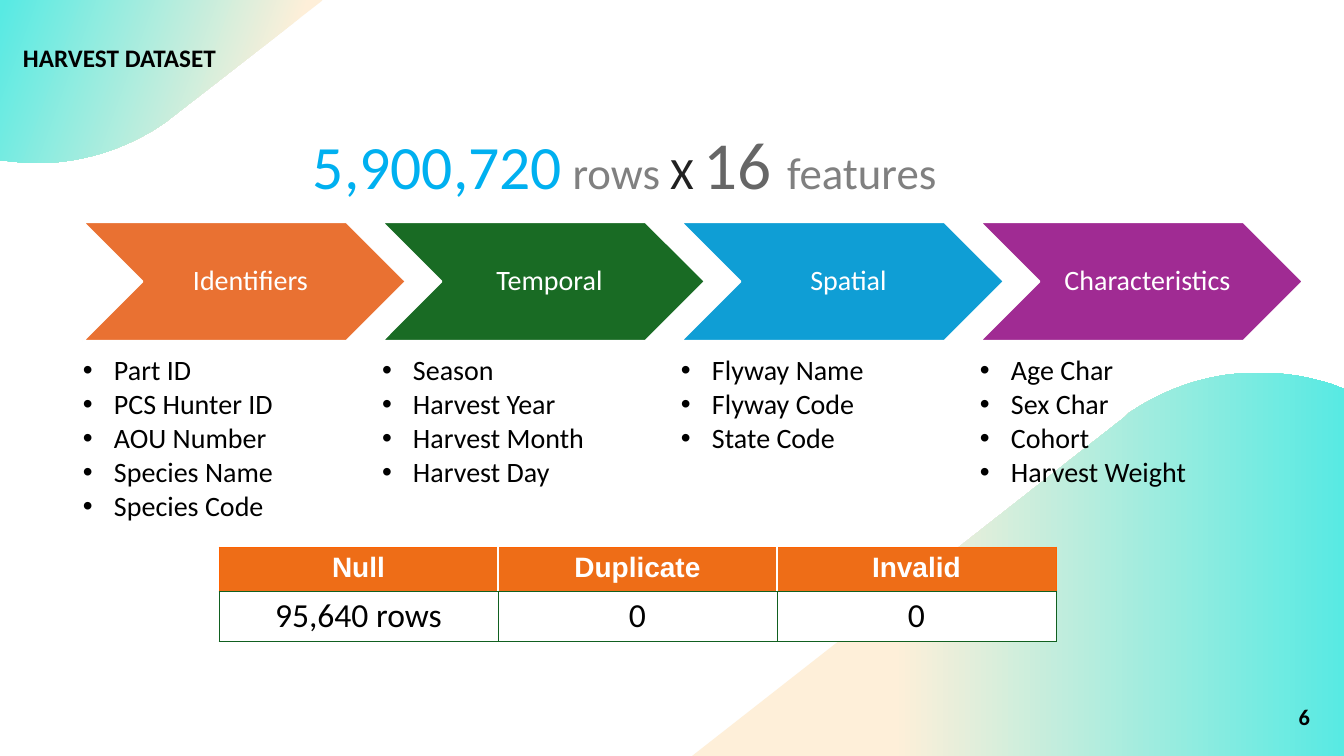
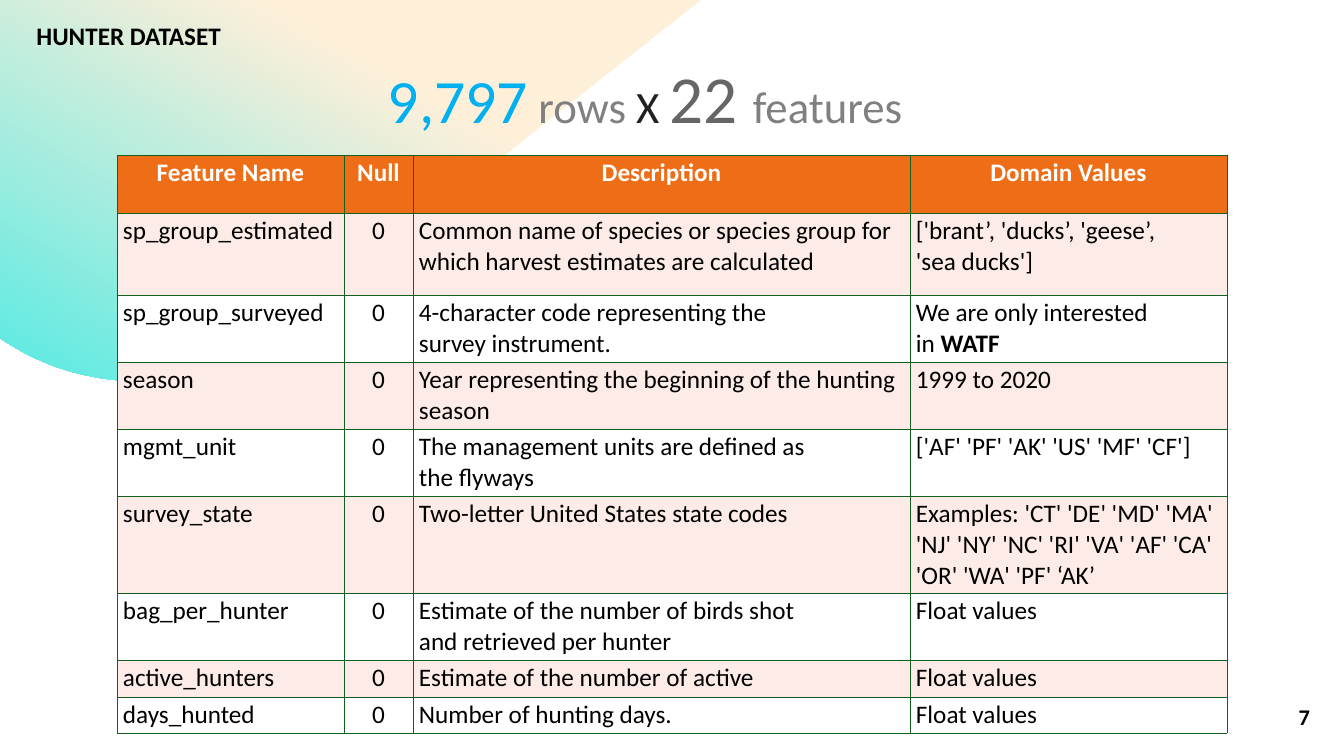
"""Build the two dataset overview slides."""
from dataclasses import dataclass

from lxml import etree
from pptx import Presentation
from pptx.dml.color import RGBColor
from pptx.enum.shapes import MSO_SHAPE as Preset
from pptx.enum.text import MSO_ANCHOR as Anchor, PP_ALIGN as Align
from pptx.oxml.ns import qn
from pptx.util import Emu, Pt

SLIDE_WIDTH, SLIDE_HEIGHT = 1344, 756
SCALE = 12192000 / SLIDE_WIDTH


@dataclass(frozen=True)
class Theme:
    font: str = "Calibri"
    header_font: str = "Arial"
    black: str = "000000"
    white: str = "FFFFFF"
    ink: str = "212121"
    gray: str = "808080"
    dark_gray: str = "666666"
    blue: str = "00B0F0"
    cream: str = "FEEFD9"
    teal: str = "58EAE3"
    header: str = "EE6D17"
    header_edge: str = "FF6200"
    band: str = "FCEBE7"
    border: str = "116020"
    number_size: int = 16
    title_size: int = 18
    body_size: int = 20
    value_size: int = 24
    unit_size: int = 32
    rows_size: int = 44
    features_size: int = 48


THEME = Theme()

CORNER = [(0, 0), (323, 0), (171, 118), (166, 122), (130, 147, 89, 161, 46, 163),
          (42, 163, 37, 163, 33, 163), (27, 163, 21, 162, 15, 162), (0, 160)]
HILL = [(1263, 373), (1287, 373, 1310, 377, 1334, 385), (1344, 389), (1344, 756),
        (692, 756), (1125, 417), (1129, 413), (1166, 388, 1208, 374, 1250, 373),
        (1254, 373, 1258, 372, 1263, 373)]
WAVE = [(0, 0), (701, 0), (277, 335), (272, 338), (234, 365, 191, 379, 146, 381),
        (141, 381, 137, 381, 133, 381), (89, 380, 44, 367, 6, 342), (0, 338)]

HARVEST = {
    "title": "HARVEST DATASET", "title_box": (13, 29, 219, 60),
    "title_format": {"anchor": Anchor.MIDDLE},
    "rows": "5,900,720", "features": "16", "headline_at": (303, 117), "number": "6",
    "waves": [(CORNER, 19, 99, 160), (HILL, 31, 100, 0)],
}
HUNTER = {
    "title": "HUNTER DATASET", "title_box": (3, 19, 228, 42),
    "title_format": {"align": Align.RIGHT},
    "rows": "9,797", "features": "22", "headline_at": (378, 51), "number": "7",
    "waves": [(WAVE, 32, 100, 240)],
}
GROUPS = [
    ("Identifiers", "E97132",
     ["Part ID", "PCS Hunter ID", "AOU Number", "Species Name", "Species Code"]),
    ("Temporal", "196B24", ["Season", "Harvest Year", "Harvest Month", "Harvest Day"]),
    ("Spatial", "0F9ED5", ["Flyway Name", "Flyway Code", "State Code"]),
    ("Characteristics", "A02B93", ["Age Char", "Sex Char", "Cohort", "Harvest Weight"]),
]
QUALITY = [["Null", "Duplicate", "Invalid"], ["95,640 rows", "0", "0"]]
FEATURE_HEADER = ["Feature Name", "Null", "Description", "Domain Values"]
FEATURES = [
    (82, "sp_group_estimated",
     "Common name of species or species group for which harvest estimates are calculated",
     ["['brant’, 'ducks’, 'geese’,\n'sea ducks']"]),
    (67, "sp_group_surveyed", "4-character code representing the\nsurvey instrument.",
     ["We are only interested\nin ", ("WATF", {"bold": True})]),
    (67, "season", "Year representing the beginning of the hunting season",
     ["1999 to 2020"]),
    (67, "mgmt_unit", "The management units are defined as\nthe flyways",
     ["['AF' 'PF' 'AK' 'US' 'MF' 'CF']"]),
    (97, "survey_state", "Two-letter United States state codes",
     ["Examples: 'CT' 'DE' 'MD' 'MA'\n'NJ' 'NY' 'NC' 'RI' 'VA' 'AF' 'CA'\n"
      "'OR' 'WA' 'PF' ‘AK’"]),
    (67, "bag_per_hunter", "Estimate of the number of birds shot\nand retrieved per hunter",
     ["Float values"]),
    (37, "active_hunters", "Estimate of the number of active", ["Float values"]),
    (36, "days_hunted", "Number of hunting days.", ["Float values"]),
]


def px(length):
    return Emu(round(length * SCALE))


def rgb(color):
    return RGBColor.from_string(color)


def add_bullet(paragraph, indent):
    properties = paragraph._p.get_or_add_pPr()
    properties.set("marL", str(px(indent)))
    properties.set("indent", str(-px(indent)))
    etree.SubElement(properties, qn("a:buFont")).set("typeface", "Arial")
    etree.SubElement(properties, qn("a:buChar")).set("char", "•")


def write(frame, paragraphs, *, insets=(10, 5, 10, 5), anchor=Anchor.TOP, align=Align.LEFT,
          spacing=None, after=None, bullet_indent=None, **run_format):
    """Fill a text frame; each paragraph is a list of runs."""
    frame.word_wrap = True
    frame.vertical_anchor = anchor
    (frame.margin_left, frame.margin_top,
     frame.margin_right, frame.margin_bottom) = map(px, insets)
    for index, runs in enumerate(paragraphs):
        paragraph = frame.add_paragraph() if index else frame.paragraphs[0]
        paragraph.alignment = align
        if bullet_indent:
            add_bullet(paragraph, bullet_indent)
        if spacing:
            paragraph.line_spacing = spacing
        if after:
            paragraph.space_after = Pt(after)
        for run in runs:
            text, changes = (run, {}) if isinstance(run, str) else run
            add_run(paragraph, text, **{**run_format, **changes})


def add_run(paragraph, text, size=THEME.body_size, color=THEME.black, bold=False,
            font=THEME.font):
    for index, line in enumerate(text.split("\n")):
        if index:
            paragraph.add_line_break()
        run = paragraph.add_run()
        run.text = line
        run.font.name, run.font.size, run.font.bold = font, Pt(size), bold
        run.font.color.rgb = rgb(color)


def add_text(slide, box, paragraphs, **text_format):
    shape = slide.shapes.add_textbox(*map(px, box))
    write(shape.text_frame, paragraphs, **text_format)


def trace(outline, steps=16):
    points = [outline[0]]
    for segment in outline[1:]:
        if len(segment) == 2:
            points.append(segment)
            continue
        start, first, second, end = points[-1], segment[:2], segment[2:4], segment[4:]
        for step in range(1, steps + 1):
            t = step / steps
            points.append(tuple(
                (1 - t) ** 3 * a + 3 * (1 - t) ** 2 * t * b + 3 * (1 - t) * t * t * c + t ** 3 * d
                for a, b, c, d in zip(start, first, second, end)))
    return points


def add_wave(slide, outline, cream_stop, teal_stop, angle):
    precision = 10
    points = [(x * precision, y * precision) for x, y in trace(outline)]
    builder = slide.shapes.build_freeform(*points[0], scale=SCALE / precision)
    builder.add_line_segments(points[1:], close=True)
    shape = builder.convert_to_shape()
    shape.shadow.inherit = False
    shape.line.fill.background()
    shape.fill.gradient()
    shape.fill.gradient_angle = angle
    stops = ((cream_stop, THEME.cream), (teal_stop, THEME.teal))
    for stop, (position, color) in zip(shape.fill.gradient_stops, stops):
        stop.position = position / 100
        stop.color.rgb = rgb(color)


def add_base(presentation, content):
    slide = presentation.slides.add_slide(presentation.slide_layouts[6])
    for wave in content["waves"]:
        add_wave(slide, *wave)
    add_text(slide, content["title_box"], [[content["title"]]], spacing=0.9,
             size=THEME.title_size, bold=True, **content["title_format"])
    headline = [
        (content["rows"], {"size": THEME.rows_size, "color": THEME.blue}),
        (" rows ", {"color": THEME.gray}),
        ("X ", {"color": THEME.ink}),
        (content["features"] + " ", {"size": THEME.features_size, "color": THEME.dark_gray}),
        ("features", {"color": THEME.gray}),
    ]
    add_text(slide, (*content["headline_at"], 828, 92), [headline], size=THEME.unit_size)
    add_text(slide, (1252, 697, 68, 40), [[content["number"]]], anchor=Anchor.MIDDLE,
             align=Align.RIGHT, size=THEME.number_size, bold=True)
    return slide


def set_borders(cell, **edges):
    properties = cell._tc.get_or_add_tcPr()
    for side in "LRTB":
        color, width = edges.get(side, (THEME.border, 0.6))
        line = etree.SubElement(properties, qn(f"a:ln{side}"), w=str(Pt(width)))
        fill = etree.SubElement(line, qn("a:solidFill"))
        etree.SubElement(fill, qn("a:srgbClr"), val=color)


def add_table(slide, left, top, widths, heights):
    table = slide.shapes.add_table(len(heights), len(widths), px(left), px(top),
                                   px(sum(widths)), px(sum(heights))).table
    table.first_row = table.horz_banding = False
    for column, width in zip(table.columns, widths):
        column.width = px(width)
    for row, height in zip(table.rows, heights):
        row.height = px(height)
    return table


def fill_cell(cell, runs, fill, edges=None, **text_format):
    set_borders(cell, **(edges or {}))
    cell.fill.solid()
    cell.fill.fore_color.rgb = rgb(fill)
    margins = text_format.pop("insets", (10, 5, 10, 5))
    anchor = Anchor.TOP
    write(cell.text_frame, [runs], insets=margins, anchor=anchor, **text_format)
    cell.vertical_anchor = anchor
    cell.margin_left, cell.margin_top, cell.margin_right, cell.margin_bottom = map(px, margins)


def add_groups(slide):
    left, pitch = 83, 299
    for index, (name, color, fields) in enumerate(GROUPS):
        x = left + index * pitch
        chevron = slide.shapes.add_shape(Preset.CHEVRON, *map(px, (x, 222, 323, 119)))
        chevron.shadow.inherit = False
        chevron.fill.solid()
        chevron.fill.fore_color.rgb = rgb(color)
        chevron.line.color.rgb = rgb(THEME.white)
        chevron.line.width = Pt(1.5)
        write(chevron.text_frame, [[name]], insets=(12, 3, 0, 3), anchor=Anchor.MIDDLE,
              align=Align.CENTER, spacing=0.9, color=THEME.white)
        add_text(slide, (x, 356, 258, 178), [[field] for field in fields],
                 insets=(0, 0, 0, 0), spacing=0.9, after=2.7, bullet_indent=31)


def add_quality_table(slide):
    table = add_table(slide, 219, 547, [279] * 3, [44, 50])
    outer, inner = (THEME.header_edge, 0.6), (THEME.white, 1)
    last = len(QUALITY[0]) - 1
    for column, (label, value) in enumerate(zip(*QUALITY)):
        edges = {"L": inner if column else outer, "T": outer,
                 "R": inner if column < last else outer}
        fill_cell(table.cell(0, column), [label], THEME.header, edges, align=Align.CENTER,
                  color=THEME.white, bold=True, font=THEME.header_font)
        fill_cell(table.cell(1, column), [value], THEME.white, align=Align.CENTER,
                  size=THEME.value_size)


def add_feature_table(slide):
    heights = [58] + [feature[0] for feature in FEATURES]
    table = add_table(slide, 117, 155, [227, 69, 497, 317], heights)
    shared = {"insets": (6, 3, 6, 3), "size": THEME.title_size}
    for column, label in enumerate(FEATURE_HEADER):
        fill_cell(table.cell(0, column), [label], THEME.header, align=Align.CENTER,
                  color=THEME.white, bold=True, **shared)
    for row, (_, name, description, domain) in enumerate(FEATURES, 1):
        fill = THEME.band if row % 2 else THEME.white
        for column, runs in enumerate(([name], ["0"], [description], domain)):
            align = Align.CENTER if column == 1 else Align.LEFT
            fill_cell(table.cell(row, column), runs, fill, align=align, **shared)


def main():
    presentation = Presentation()
    presentation.slide_width, presentation.slide_height = px(SLIDE_WIDTH), px(SLIDE_HEIGHT)
    harvest = add_base(presentation, HARVEST)
    add_groups(harvest)
    add_quality_table(harvest)
    add_feature_table(add_base(presentation, HUNTER))
    presentation.save("out.pptx")


if __name__ == "__main__":
    main()
